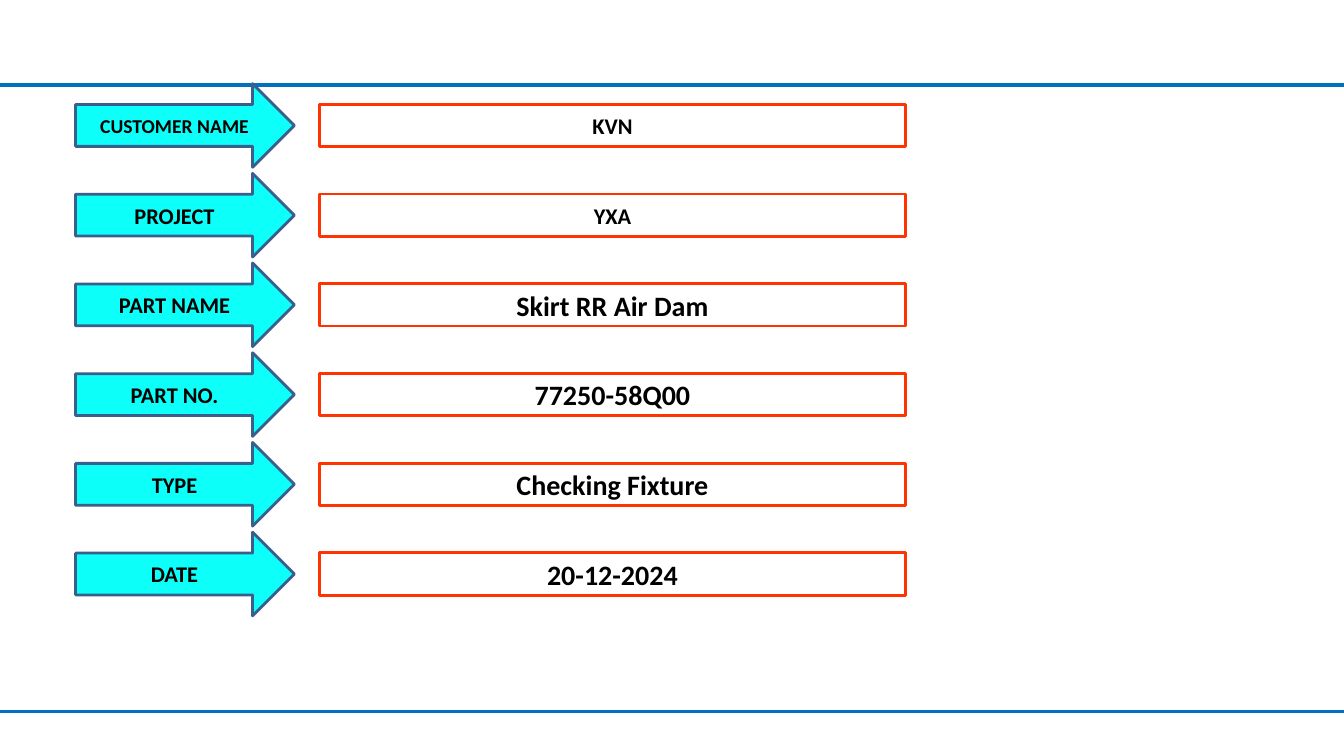
from pptx import Presentation
from pptx.dml.color import RGBColor
from pptx.enum import shapes, text
from pptx.oxml import ns
from pptx.util import Inches, Pt
from lxml import etree

WHITE = RGBColor(0xFF, 0xFF, 0xFF)
BLACK = RGBColor(0x00, 0x00, 0x00)
RULE_BLUE = RGBColor(0x00, 0x70, 0xC0)
CYAN = RGBColor(0x0D, 0xFF, 0xF9)
ARROW_EDGE = RGBColor(0x3A, 0x5F, 0x8C)
ORANGE = RGBColor(0xFF, 0x33, 0x00)

WIDTH, HEIGHT = 13.33, 7.5
ARROW_W, ARROW_H = 2.17, 0.83
VALUE_H = 0.42
ROW_PITCH = 0.89

DETAILS = [
    ("CUSTOMER NAME", 14, "KVN", 16),
    ("PROJECT", 16, "YXA", 16),
    ("PART NAME", 16, "Skirt RR Air Dam", 20),
    ("PART NO.", 16, "77250-58Q00", 20),
    ("TYPE", 16, "Checking Fixture", 20),
    ("DATE", 16, "20-12-2024", 20),
]


def add_rule(s, y, weight):
    ln = s.shapes.add_connector(shapes.MSO_CONNECTOR.STRAIGHT,
                                0, Inches(y), Inches(WIDTH), Inches(y))
    ln.line.color.rgb = RULE_BLUE
    ln.line.width = Pt(weight)
    etree.SubElement(ln._element.spPr, ns.qn("a:effectLst"))


def add_label(s, kind, box, words, size, fill, edge):
    sp = s.shapes.add_shape(kind, *map(Inches, box))
    sp.shadow.inherit = False
    if fill is None:
        sp.fill.background()
    else:
        sp.fill.solid()
        sp.fill.fore_color.rgb = fill
    sp.line.color.rgb = edge
    sp.line.width = Pt(2)
    tf = sp.text_frame
    tf.word_wrap = True
    tf.vertical_anchor = text.MSO_ANCHOR.MIDDLE
    p = tf.paragraphs[0]
    p.text = words
    p.alignment = text.PP_ALIGN.CENTER
    p.font.name = "Calibri"
    p.font.size = Pt(size)
    p.font.bold = True
    p.font.color.rgb = BLACK


def add_details(s, left, top, width):
    value_left = left + 2.42
    value_w = left + width - value_left
    for i, (label, label_size, value, value_size) in enumerate(DETAILS):
        y = top + i * ROW_PITCH
        add_label(s, shapes.MSO_SHAPE.RIGHT_ARROW, (left, y, ARROW_W, ARROW_H),
                  label, label_size, CYAN, ARROW_EDGE)
        value_y = y + (ARROW_H - VALUE_H) / 2
        add_label(s, shapes.MSO_SHAPE.RECTANGLE,
                  (value_left, value_y, value_w, VALUE_H),
                  value, value_size, None, ORANGE)


def main():
    prs = Presentation()
    prs.slide_width, prs.slide_height = Inches(WIDTH), Inches(HEIGHT)
    s = prs.slides.add_slide(prs.slide_layouts[6])
    s.background.fill.solid()
    s.background.fill.fore_color.rgb = WHITE
    add_rule(s, 0.84, 3)
    add_rule(s, 7.06, 2.25)
    add_details(s, 0.75, 0.83, 8.23)
    prs.save("out.pptx")


if __name__ == "__main__":
    main()
